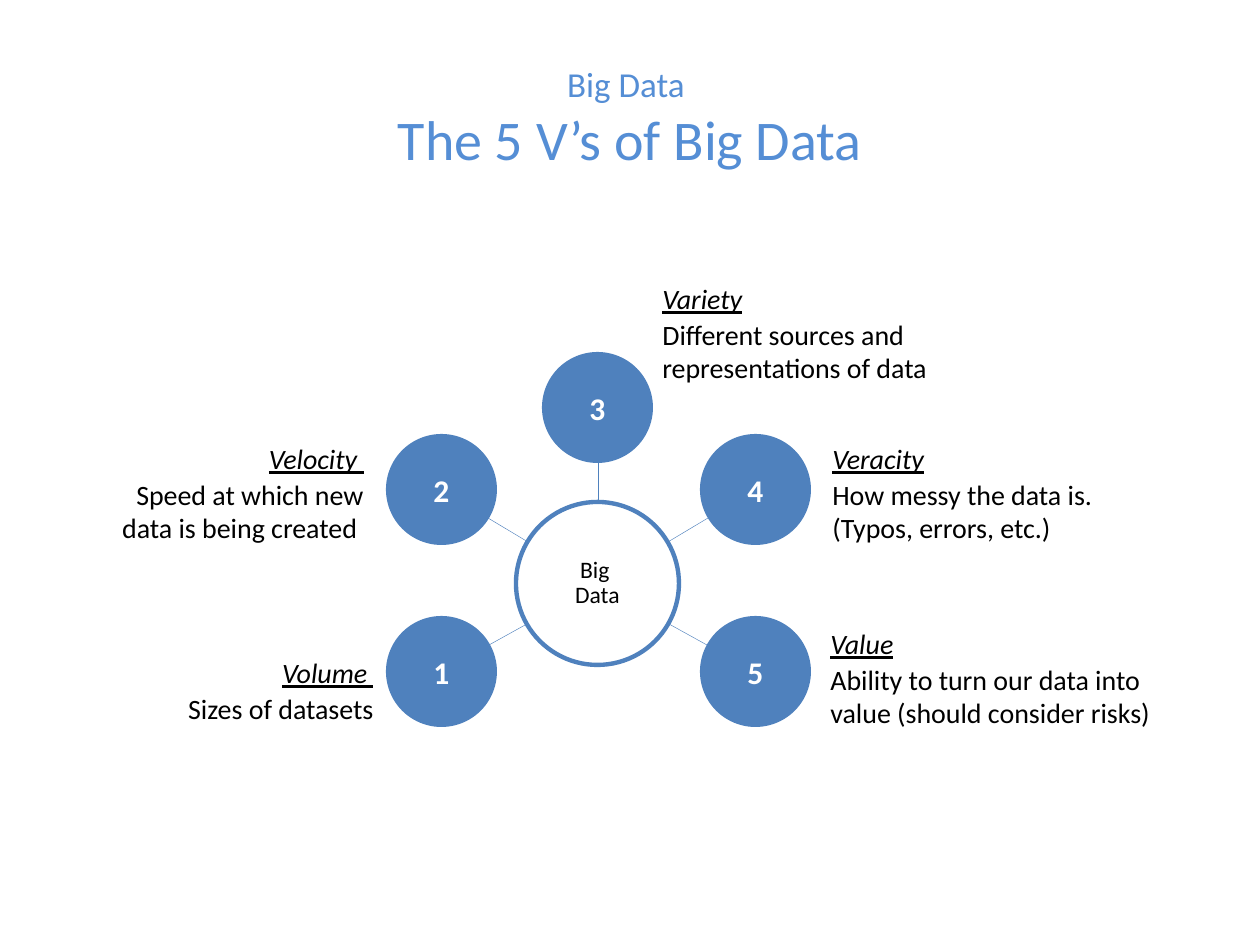
from math import hypot

from lxml import etree
from pptx import Presentation
from pptx.dml.color import RGBColor
from pptx.enum.shapes import MSO_CONNECTOR, MSO_SHAPE
from pptx.enum.text import MSO_ANCHOR, PP_ALIGN
from pptx.oxml.ns import qn
from pptx.util import Emu, Pt

PX = 914400 // 126
FONT = "Calibri"
BLUE = RGBColor(0x4F, 0x81, 0xBD)
TITLE_BLUE = RGBColor(0x55, 0x8E, 0xD5)
BLACK = RGBColor(0, 0, 0)
WHITE = RGBColor(255, 255, 255)
LEFT, CENTER, RIGHT = PP_ALIGN.LEFT, PP_ALIGN.CENTER, PP_ALIGN.RIGHT
MIDDLE = MSO_ANCHOR.MIDDLE
OVAL = MSO_SHAPE.OVAL
STRAIGHT = MSO_CONNECTOR.STRAIGHT

HUB = (598, 584)
HUB_SIZE = 163
NODE_SIZE = 111
# Circle centres, numbered from 1
NODES = [(441, 672), (441, 489), (598, 407), (755, 489), (755, 672)]
# Heading, description, box (left, top, width, height), alignment
LABELS = [
    ("Volume ", "Sizes of datasets", (81, 649, 305, 84), RIGHT),
    ("Velocity ", "Speed at which new data is being created ",
     (71, 435, 305, 118), RIGHT),
    ("Variety", "Different sources and representations of data",
     (650, 275, 320, 118), LEFT),
    ("Veracity", "How messy the data is. (Typos, errors, etc.)",
     (820, 435, 320, 118), LEFT),
    ("Value", "Ability to turn our data into value (should consider risks)",
     (818, 620, 360, 118), LEFT),
]


def px(*values):
    return [Emu(round(v) * PX) for v in values]


def style(font, size, color, bold=False):
    font.name, font.size, font.bold = FONT, Pt(size), bold
    font.color.rgb = color


def set_title(slide):
    title = slide.shapes.title
    title.left, title.top, title.width, title.height = px(63, 38, 1134, 158)
    tf = title.text_frame
    tf.vertical_anchor = MIDDLE
    p = tf.paragraphs[0]
    p.alignment = CENTER
    style(p.font, 32, TITLE_BLUE)
    r = p.add_run()
    r.text = "Big Data "
    r.font.size = Pt(20)
    p.add_line_break()
    p.add_run().text = "The 5 V’s of Big Data"


def add_spoke(slide, node):
    """Draw the line between the rims of the hub and a node."""
    dx, dy = node[0] - HUB[0], node[1] - HUB[1]
    length = hypot(dx, dy)
    start, end = HUB_SIZE / 2 / length, 1 - NODE_SIZE / 2 / length
    line = slide.shapes.add_connector(STRAIGHT, *px(
        HUB[0] + dx * start, HUB[1] + dy * start,
        HUB[0] + dx * end, HUB[1] + dy * end))
    line.line.color.rgb = BLUE
    line.line.width = Pt(0.25)
    etree.SubElement(line._element.spPr, qn("a:effectLst"))


def add_circle(slide, center, size, fill, lines):
    """Add a circle around its centre, with one centred paragraph per line."""
    sp = slide.shapes.add_shape(OVAL, *px(
        center[0] - size / 2, center[1] - size / 2, size, size))
    sp.shadow.inherit = False
    sp.fill.solid()
    sp.fill.fore_color.rgb = fill
    sp.line.fill.background()
    tf = sp.text_frame
    tf.margin_left = tf.margin_right = tf.margin_top = tf.margin_bottom = 0
    tf.vertical_anchor = MIDDLE
    tf.text = "\n".join(lines)
    for p in tf.paragraphs:
        p.alignment = CENTER
    return sp


def add_node(slide, center, number):
    sp = add_circle(slide, center, NODE_SIZE, BLUE, [str(number)])
    style(sp.text_frame.paragraphs[0].font, 18, WHITE, bold=True)


def add_hub(slide):
    sp = add_circle(slide, HUB, HUB_SIZE, WHITE, ["Big ", "Data"])
    sp.line.color.rgb = BLUE
    sp.line.width = Pt(2.5)
    for p in sp.text_frame.paragraphs:
        p.line_spacing = 0.89
        style(p.font, 13.5, BLACK)


def add_label(slide, heading, description, box, alignment):
    tf = slide.shapes.add_textbox(*px(*box)).text_frame
    tf.word_wrap = True
    tf.text = f"{heading}\n{description}"
    for p in tf.paragraphs:
        p.alignment = alignment
        p.space_after = Pt(1.5)
        style(p.font, 16, BLACK)
    font = tf.paragraphs[0].font
    font.italic = font.underline = True


def main():
    prs = Presentation()
    prs.slide_width, prs.slide_height = px(1260, 945)
    slide = prs.slides.add_slide(prs.slide_layouts[5])
    set_title(slide)
    for node in NODES:
        add_spoke(slide, node)
    for number, node in enumerate(NODES, 1):
        add_node(slide, node, number)
    add_hub(slide)
    for label in LABELS:
        add_label(slide, *label)
    prs.save("out.pptx")


if __name__ == "__main__":
    main()
